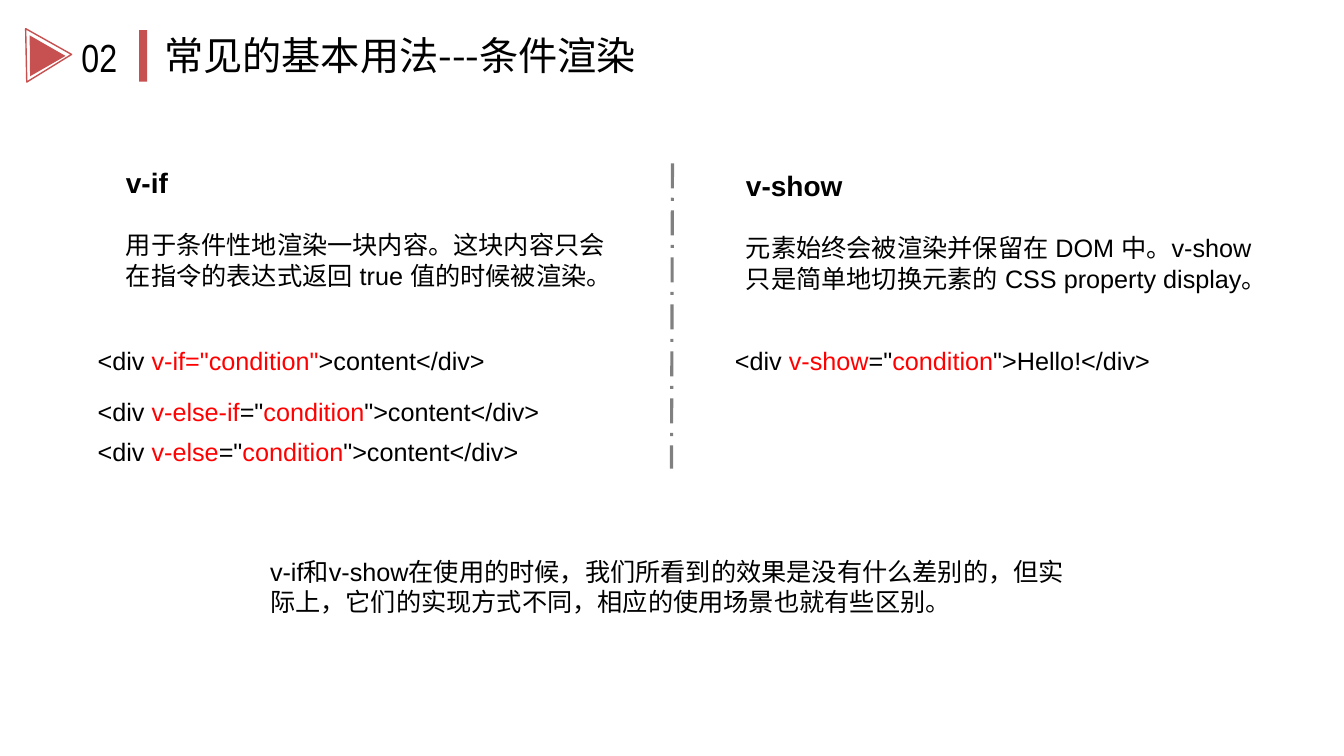
from lxml import etree
from pptx import Presentation
from pptx.dml.color import RGBColor
from pptx.enum import dml, lang, shapes, text
from pptx.oxml import ns
from pptx.util import Inches, Pt

BLACK = RGBColor(0x00, 0x00, 0x00)
RED = RGBColor(0xFF, 0x00, 0x00)
BRICK = RGBColor(0xC7, 0x50, 0x50)
GREY = RGBColor(0x80, 0x80, 0x80)
CJK = "Noto Sans CJK SC"

TITLE = "常见的基本用法---条件渲染"
NUMBER = "02"
TOPICS = [
    ((1.15, 1.59, 5.02, 1.35), "v-if",
     "用于条件性地渲染一块内容。这块内容只会在指令的表达式返回 true 值的时候被渲染。"),
    ((7.3, 1.62, 5.49, 1.35), "v-show",
     "元素始终会被渲染并保留在 DOM 中。v-show 只是简单地切换元素的 CSS property display。"),
]
CODE_LINES = [
    ((0.87, 3.38, 4.92, 0.4), ["<div ", 'v-if="condition"', ">content</div>"]),
    ((0.87, 3.88, 5.67, 0.4), ["<div ", "v-else-if", '="', "condition", '">content</div>']),
    ((0.87, 4.28, 5.67, 0.4), ["<div ", "v-else", '="', "condition", '">content</div>']),
    ((7.19, 3.38, 5.25, 0.4), ["<div ", "v-show", '="', "condition", '">Hello!</div>']),
]
SUMMARY = ("v-if和v-show在使用的时候，我们所看到的效果是没有什么差别的，"
           "但实际上，它们的实现方式不同，相应的使用场景也就有些区别。")
MARKS = [
    (shapes.MSO_SHAPE.RECTANGLE, (1.38, 0.3, 0.08, 0.51), 0, True),
    (shapes.MSO_SHAPE.ISOSCELES_TRIANGLE, (0.22, 0.32, 0.53, 0.45), 88.8, False),
    (shapes.MSO_SHAPE.ISOSCELES_TRIANGLE, (0.18, 0.43, 0.41, 0.35), 209.8, True),
]


def format_run(r, size, color=BLACK, font="Arial", bold=False):
    r.font.size = Pt(size)
    r.font.bold = bold
    r.font.color.rgb = color
    r.font.name = font
    r.font.language_id = lang.MSO_LANGUAGE_ID.SIMPLIFIED_CHINESE
    latin = r.font._element.find(ns.qn("a:latin"))
    ea = etree.Element(ns.qn("a:ea"), typeface=font)
    latin.addnext(ea)


def add_text(s, box, value, size=18, font="Arial", bold=False):
    tf = s.shapes.add_textbox(*map(Inches, box)).text_frame
    tf.word_wrap = True
    tf.text = value
    for r in tf.paragraphs[0].runs:
        format_run(r, size, font=font, bold=bold)
    return tf


def add_topic(s, box, heading, body):
    tf = add_text(s, box, heading, 20, bold=True)
    p = tf.add_paragraph()
    p.text = body
    p.space_before = Pt(22)
    format_run(p.runs[0], 18)


def add_code(s, box, pieces):
    p = add_text(s, box, "").paragraphs[0]
    for i, piece in enumerate(pieces):
        r = p.add_run()
        r.text = piece
        format_run(r, 18, RED if i % 2 else BLACK)


def add_mark(s, kind, box, rotation, filled):
    sp = s.shapes.add_shape(kind, *map(Inches, box))
    sp.shadow.inherit = False
    sp.rotation = rotation
    if filled:
        sp.fill.solid()
        sp.fill.fore_color.rgb = BRICK
        sp.line.fill.background()
    else:
        sp.fill.background()
        sp.line.color.rgb = BRICK
        sp.line.width = Pt(1)


def add_title(s):
    sp = s.shapes.title
    sp.left, sp.top, sp.width, sp.height = map(Inches, (1.53, 0.26, 5.62, 0.57))
    tf = sp.text_frame
    tf.text = TITLE
    tf.word_wrap = True
    tf.auto_size = text.MSO_AUTO_SIZE.NONE
    tf.vertical_anchor = text.MSO_ANCHOR.MIDDLE
    tf.margin_top = tf.margin_bottom = 0
    tf.paragraphs[0].alignment = text.PP_ALIGN.LEFT
    format_run(tf.paragraphs[0].runs[0], 28, font=CJK)


def add_divider(s):
    line = s.shapes.add_connector(shapes.MSO_CONNECTOR.STRAIGHT,
                                  *map(Inches, (6.67, 1.62, 6.66, 4.65)))
    line.line.color.rgb = GREY
    line.line.width = Pt(2.25)
    line.line.dash_style = dml.MSO_LINE.LONG_DASH_DOT
    etree.SubElement(line._element.spPr, ns.qn("a:effectLst"))


def main():
    prs = Presentation()
    prs.slide_width, prs.slide_height = Inches(13.33), Inches(7.5)
    s = prs.slides.add_slide(prs.slide_layouts[5])
    add_title(s)
    for mark in MARKS:
        add_mark(s, *mark)
    add_text(s, (0.71, 0.28, 0.75, 0.57), NUMBER, 28, "Arial Narrow")
    for topic in TOPICS:
        add_topic(s, *topic)
    add_divider(s)
    for code in CODE_LINES:
        add_code(s, *code)
    add_text(s, (2.58, 5.47, 8.18, 0.71), SUMMARY)
    prs.save("out.pptx")


if __name__ == "__main__":
    main()
